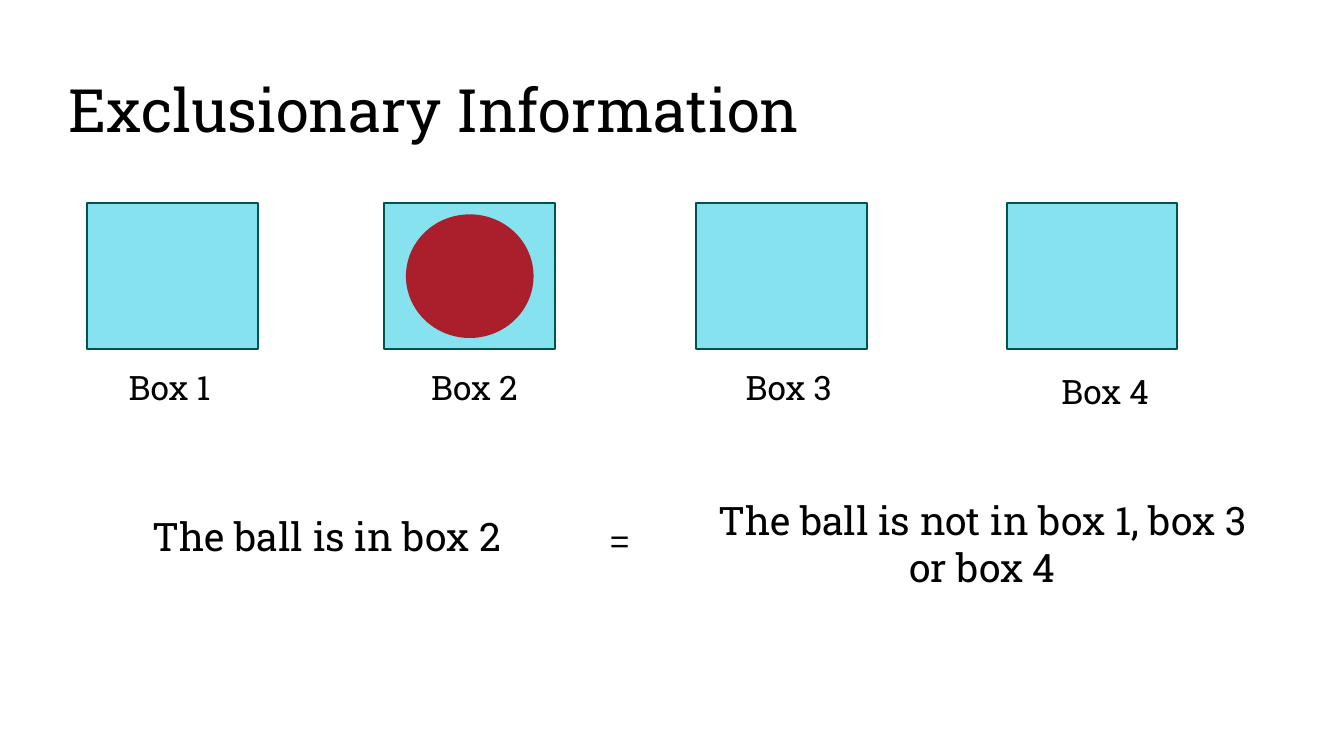
from lxml import etree
from pptx import Presentation
from pptx.dml.color import RGBColor
from pptx.enum import shapes, text
from pptx.oxml.ns import qn
from pptx.util import Inches, Pt

BLACK = RGBColor(0, 0, 0)
CYAN = RGBColor(0x0C, 0xC6, 0xDE)
TEAL = RGBColor(0x00, 0x54, 0x4F)
RED = RGBColor(0xAB, 0x1F, 0x2D)
SLAB = "Roboto Slab"
WIDTH = 10
HEIGHT = WIDTH * 9 / 16


def style(par, size, font=SLAB, align=text.PP_ALIGN.LEFT):
    par.alignment = align
    par.font.size = Pt(size)
    par.font.name = font
    par.font.color.rgb = BLACK


def title(slide, x, y, w, h):
    head = slide.shapes.title
    head.left, head.top, head.width, head.height = map(Inches, (x, y, w, h))
    frame = head.text_frame
    frame.text = "Exclusionary Information"
    frame.vertical_anchor = text.MSO_ANCHOR.MIDDLE
    frame.paragraphs[0].line_spacing = 0.9
    style(frame.paragraphs[0], 32)


def label(slide, words, x, y, w, h, size, **look):
    frame = slide.shapes.add_textbox(*map(Inches, (x, y, w, h))).text_frame
    frame.word_wrap = True
    frame.auto_size = text.MSO_AUTO_SIZE.SHAPE_TO_FIT_TEXT
    frame.text = words
    style(frame.paragraphs[0], size, **look)


def shape(slide, kind, x, y, w, h, color):
    item = slide.shapes.add_shape(kind, *map(Inches, (x, y, w, h)))
    item.shadow.inherit = False
    item.fill.solid()
    item.fill.fore_color.rgb = color
    item.line.fill.background()
    return item


def box(slide, x, y, w, h):
    """Draw one half-transparent box."""
    item = shape(slide, shapes.MSO_SHAPE.RECTANGLE, x, y, w, h, CYAN)
    item.line.color.rgb = TEAL
    item.line.width = Pt(1)
    color = item.fill._xPr.find(qn("a:solidFill"))[0]
    etree.SubElement(color, qn("a:alpha"), val="50000")


def boxes(slide, y):
    """Draw the row of boxes, the ball in the second, and their labels."""
    wide, high = 1.27, 1.09
    lefts = (0.65, 2.86, 5.18, 7.49)
    for x in lefts:
        box(slide, x, y, wide, high)
    ball_w, ball_h = 0.95, 0.92
    shape(slide, shapes.MSO_SHAPE.OVAL, lefts[1] + (wide - ball_w) / 2,
          y + (high - ball_h) / 2, ball_w, ball_h, RED)
    spots = ((0.86, 1.17), (3.11, 1.17), (5.45, 1.17), (7.8, 1.2))
    for num, (x, drop) in enumerate(spots, 1):
        label(slide, f"Box {num}", x, y + drop, min(4.14, WIDTH - x), 0.4, 18)


def claim(slide, x, y):
    """Set the two equal statements side by side."""
    label(slide, "The ball is in box 2", x, y + 0.12, 3.96, 0.45, 21)
    label(slide, "=", x + 3.4, y + 0.18, 1.98, 0.4, 18, font="Arial")
    label(slide, "The ball is not in box 1, box 3 or box 4",
          x + 4.14, y, 4.26, 0.81, 21, align=text.PP_ALIGN.CENTER)


def main():
    deck = Presentation()
    deck.slide_width, deck.slide_height = Inches(WIDTH), Inches(HEIGHT)
    slide = deck.slides.add_slide(deck.slide_layouts[5])
    title(slide, 0.41, 0.3, 9.19, 1.09)
    boxes(slide, 1.51)
    claim(slide, 1.04, 3.64)
    deck.save("out.pptx")


if __name__ == "__main__":
    main()
